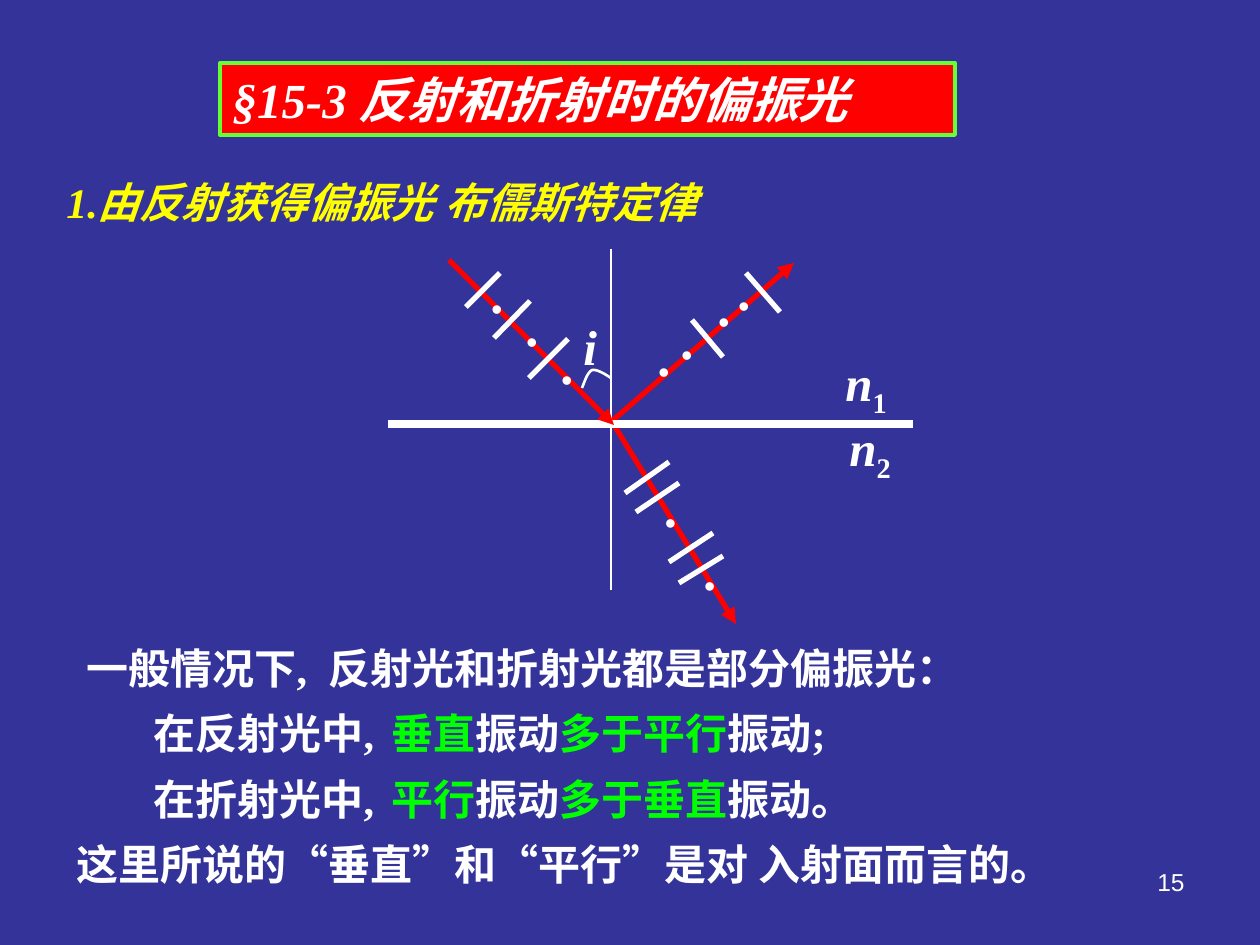
from lxml import etree
from pptx import Presentation
from pptx.dml.color import RGBColor
from pptx.enum.shapes import MSO_CONNECTOR
from pptx.enum.text import MSO_ANCHOR, MSO_AUTO_SIZE, PP_ALIGN
from pptx.oxml.ns import qn
from pptx.util import Pt

LINE = MSO_CONNECTOR.STRAIGHT
TOP, MIDDLE = MSO_ANCHOR.TOP, MSO_ANCHOR.MIDDLE
FIXED = MSO_AUTO_SIZE.NONE
LEFT, RIGHT = PP_ALIGN.LEFT, PP_ALIGN.RIGHT
SCALE = 914400 / 126
SERIF, SANS = "Times New Roman", "Arial"
WHITE, RED, GREEN, YELLOW = "FFFFFF", "FF0000", "00FF00", "FFFF00"


def px(n):
    return round(n * SCALE)


def color(code):
    return RGBColor.from_string(code)


def place(shape, box):
    shape.left, shape.top, shape.width, shape.height = map(px, box)


def frame(shape, anchor=TOP):
    text = shape.text_frame
    text.word_wrap = True
    text.auto_size = FIXED
    text.vertical_anchor = anchor
    return text


def layout(para, indent=0, tab=None):
    props = para._p.get_or_add_pPr()
    props.set("marL", "0")
    props.set("indent", str(px(indent)))
    etree.SubElement(props, qn("a:buNone"))
    if tab:
        stops = etree.SubElement(props, qn("a:tabLst"))
        etree.SubElement(stops, qn("a:tab"), pos=str(px(tab)), algn="l")


def style(para, size, face=SERIF, ink=WHITE, bold=True, italic=False):
    font = para.font
    font.size, font.name = Pt(size), face
    font.bold, font.italic = bold, italic
    font.color.rgb = color(ink)


def label(slide, box, text):
    shape = slide.shapes.add_textbox(*map(px, box))
    para = frame(shape).paragraphs[0]
    para.text = text
    return shape, para


def title(slide, box):
    shape = slide.shapes.title
    place(shape, box)
    shape.fill.solid()
    shape.fill.fore_color.rgb = color(RED)
    shape.line.color.rgb = color("66FF33")
    shape.line.width = Pt(2.25)
    para = frame(shape, MIDDLE).paragraphs[0]
    para.text = "§15-3\t反射和折射时的偏振光"
    para.alignment = LEFT
    layout(para, tab=164)
    style(para, 28, italic=True)


def heading(slide, box):
    para = label(slide, box, "1.由反射获得偏振光\t布儒斯特定律")[1]
    para.line_spacing = 1.3
    layout(para, tab=430)
    style(para, 24, ink=YELLOW, italic=True)


def summary(slide, box):
    rows = [
        (10, 272, [("一般情况下,\t反射光和折射光都是部分偏振光：", WHITE)]),
        (77, 338, [("在反射光中,\t", WHITE), ("垂直", GREEN), ("振动", WHITE),
                   ("多于平行", GREEN), ("振动;", WHITE)]),
        (77, 338, [("在折射光中,\t", WHITE), ("平行", GREEN), ("振动", WHITE),
                   ("多于垂直", GREEN), ("振动。", WHITE)]),
        (0, None, [("这里所说的“垂直”和“平行”是对 入射面而言的。", WHITE)]),
    ]
    body = slide.placeholders[1]
    place(body, box)
    text = frame(body)
    for n, (indent, tab, parts) in enumerate(rows):
        para = text.add_paragraph() if n else text.paragraphs[0]
        para.line_spacing = 1.3
        para.space_before = Pt(0)
        layout(para, indent, tab)
        style(para, 24)
        for words, ink in parts:
            run = para.add_run()
            run.text = words
            run.font.color.rgb = color(ink)


def stroke(slide, box, ends, ink=WHITE, width=3, arrow=False):
    x, y = box[:2]
    x1, y1, x2, y2 = ends
    line = slide.shapes.add_connector(
        LINE, px(x + x1), px(y + y1), px(x + x2), px(y + y2))
    line.line.color.rgb = color(ink)
    line.line.width = Pt(width)
    if arrow:
        etree.SubElement(line.line._ln, qn("a:tailEnd"), type="triangle")
    etree.SubElement(line._element.spPr, qn("a:effectLst"))


def ray(slide, box, path, bars, dots, turn=0):
    stroke(slide, box, path, RED, arrow=True)
    for ends in bars:
        stroke(slide, box, ends)
    for x, y in dots:
        shape, para = label(slide, (box[0] + x, box[1] + y, 54, 50), "•")
        shape.rotation = turn
        style(para, 18, SANS, bold=False)


def curve(a, b, c, d, steps=8):
    for n in range(1, steps + 1):
        t = n / steps
        s = 1 - t
        yield tuple(s**3 * i + 3 * s * s * t * j + 3 * s * t * t * k + t**3 * m
                    for i, j, k, m in zip(a, b, c, d))


def angle(slide, box):
    x, y = box[:2]
    start, peak, end = (194, 139), (204, 121), (223, 129)
    points = [*curve(start, (197, 132), (199, 124), peak),
              *curve(peak, (209, 120), (217, 125), end)]
    pen = slide.shapes.build_freeform(px(x + start[0]), px(y + start[1]))
    pen.add_line_segments([(px(x + i), px(y + j)) for i, j in points], close=False)
    arc = pen.convert_to_shape()
    arc.fill.background()
    arc.line.color.rgb = color(WHITE)
    arc.line.width = Pt(1.5)
    arc.shadow.inherit = False
    para = label(slide, (x + 183, y + 61, 66, 72), "i")[1]
    style(para, 28, italic=True)


def index(slide, box, digit):
    para = label(slide, box, "")[1]
    style(para, 28)
    for words in ("n", digit):
        run = para.add_run()
        run.text = words
        run.font.italic = words == "n"
    run.font._element.set("baseline", "-25000")


def diagram(slide, box):
    x, y = box[:2]
    ray(slide, box, (223, 173, 406, 14),
        [(304, 71, 335, 108), (358, 24, 392, 63)],
        [(258, 97), (281, 80), (318, 47), (338, 31)])
    ray(slide, box, (223, 171, 348, 375),
        [(237, 244, 281, 213), (248, 263, 291, 234),
         (281, 313, 325, 284), (291, 334, 335, 307)],
        [(265, 250), (304, 313)], 15.7)
    stroke(slide, box, (0, 175, 525, 175), width=4.5)
    index(slide, (x + 445, y + 97, 76, 79), "1")
    index(slide, (x + 449, y + 162, 76, 79), "2")
    stroke(slide, box, (223, 0, 223, 341), width=0.75)
    ray(slide, box, (61, 11, 226, 176),
        [(78, 58, 112, 24), (106, 89, 142, 52), (141, 129, 180, 90)],
        [(91, 34), (126, 67), (161, 105)])
    angle(slide, box)


def number(slide, box):
    para = label(slide, box, "15")[1]
    para.alignment = RIGHT
    style(para, 14, SANS, bold=False)


def main():
    deck = Presentation()
    deck.slide_width, deck.slide_height = px(1260), px(945)
    slide = deck.slides.add_slide(deck.slide_layouts[1])
    slide.background.fill.solid()
    slide.background.fill.fore_color.rgb = color("333399")
    number(slide, (903, 861, 294, 66))
    title(slide, (220, 63, 735, 72))
    heading(slide, (54, 155, 801, 78))
    summary(slide, (64, 621, 1042, 275))
    diagram(slide, (388, 249, 525, 375))
    deck.save("out.pptx")


if __name__ == "__main__":
    main()
